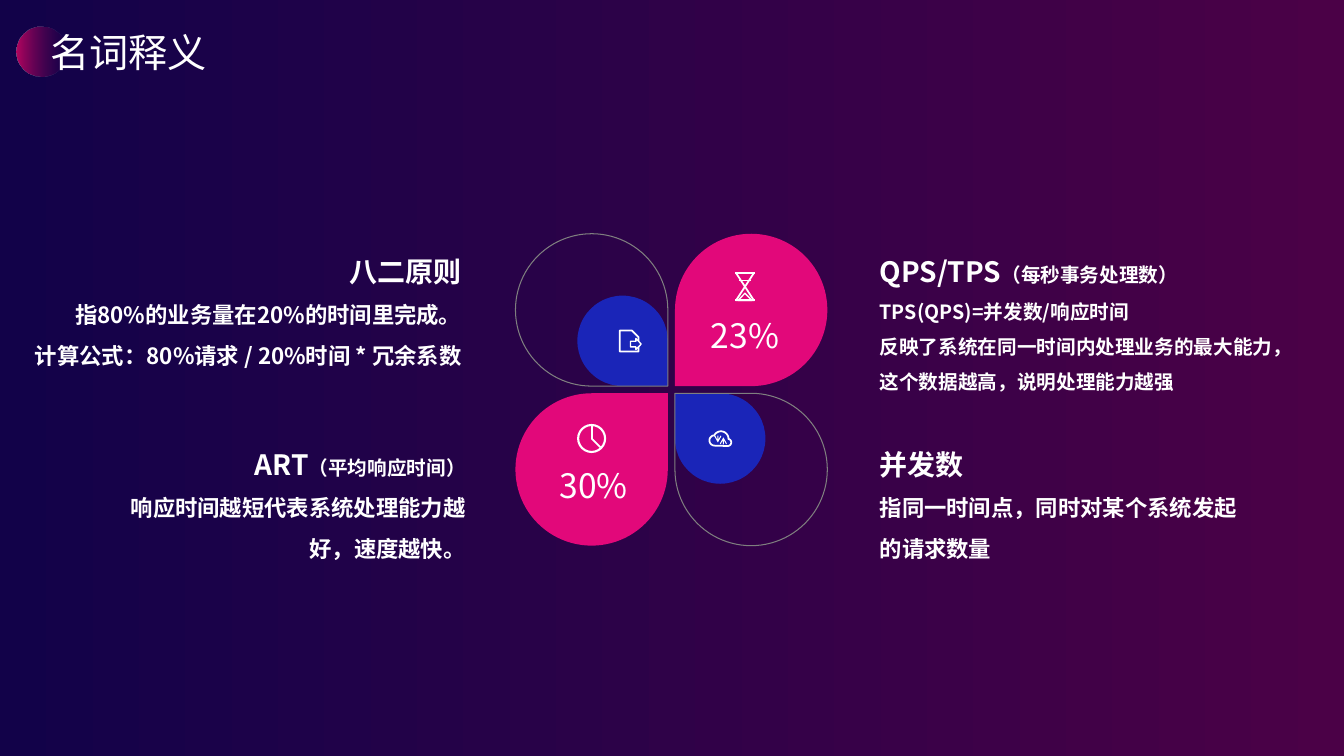
from dataclasses import dataclass
from math import cos, radians, sin

from lxml import etree
from pptx import Presentation
from pptx.dml.color import RGBColor
from pptx.enum.shapes import MSO_CONNECTOR, MSO_SHAPE
from pptx.enum.text import MSO_AUTO_SIZE, PP_ALIGN
from pptx.oxml.ns import qn
from pptx.util import Cm, Pt

LEFT, CENTER, RIGHT = PP_ALIGN.LEFT, PP_ALIGN.CENTER, PP_ALIGN.RIGHT
ELLIPSE, TEARDROP = MSO_SHAPE.OVAL, MSO_SHAPE.TEAR
HOURGLASS, TRIANGLE = MSO_SHAPE.FLOWCHART_COLLATE, MSO_SHAPE.ISOSCELES_TRIANGLE
PAGE, ARROW = MSO_SHAPE.SNIP_1_RECTANGLE, MSO_SHAPE.RIGHT_ARROW
STRAIGHT = MSO_CONNECTOR.STRAIGHT


@dataclass(frozen=True)
class Theme:
    font: str = "Noto Sans CJK SC"
    white: RGBColor = RGBColor(0xFF, 0xFF, 0xFF)
    pink: RGBColor = RGBColor(0xE2, 0x08, 0x7A)
    blue: RGBColor = RGBColor(0x1A, 0x25, 0xB8)
    grey: RGBColor = RGBColor(0x7F, 0x7F, 0x7F)
    background: tuple = (RGBColor(0x12, 0x02, 0x49), RGBColor(0x4B, 0x01, 0x47))
    badge: tuple = (RGBColor(0xB3, 0x06, 0x60), RGBColor(0x57, 0x01, 0x52))
    title: int = 28
    percent: int = 24
    heading: int = 20
    body: int = 16
    small: int = 14


THEME = Theme()
FLOWER_X, FLOWER_Y, HALF_GAP = 16.92, 9.82, 0.09
PETAL, BUD = 3.84, 2.28
# Rotation that turns the teardrop's point to the flower's centre.
ROTATIONS = {(-1, 1): 0, (-1, -1): 90, (1, -1): 180, (1, 1): 270}


def set_gradient(fill, colors):
    fill.gradient()
    fill.gradient_angle = 0
    for stop, color in zip(fill.gradient_stops, colors):
        stop.color.rgb = color


def add_shape(slide, kind, box, fill=None, line=None, weight=0.75):
    shape = slide.shapes.add_shape(kind, *map(Cm, box))
    paint(shape, fill, line, weight)
    return shape


def paint(shape, fill, line, weight):
    shape.shadow.inherit = False
    if fill is None:
        shape.fill.background()
    else:
        shape.fill.solid()
        shape.fill.fore_color.rgb = fill
    if line is None:
        shape.line.fill.background()
    else:
        shape.line.color.rgb = line
        shape.line.width = Pt(weight)


def add_line(slide, start, end, weight=1.25, arrow=False):
    line = slide.shapes.add_connector(STRAIGHT, *map(Cm, start + end))
    line.line.color.rgb = THEME.white
    line.line.width = Pt(weight)
    if arrow:
        etree.SubElement(line.line._get_or_add_ln(), qn("a:tailEnd"),
                         type="arrow", w="sm", len="sm")
    etree.SubElement(line._element.spPr, qn("a:effectLst"))


def add_text(slide, box, paragraphs, align=LEFT, spacing=None, bold=False,
             inset=(0, 0), wrap=True):
    """Each paragraph is a list of (text, size) runs."""
    frame = slide.shapes.add_textbox(*map(Cm, box)).text_frame
    frame.word_wrap = wrap
    frame.auto_size = MSO_AUTO_SIZE.NONE
    frame.margin_left = frame.margin_right = Cm(inset[0])
    frame.margin_top = frame.margin_bottom = Cm(inset[1])
    for index, runs in enumerate(paragraphs):
        paragraph = frame.add_paragraph() if index else frame.paragraphs[0]
        paragraph.alignment = align
        if spacing:
            paragraph.line_spacing = spacing
        for text, size in runs:
            run = paragraph.add_run()
            run.text = text
            run.font.name = THEME.font
            run.font.size = Pt(size)
            run.font.bold = bold
            run.font.color.rgb = THEME.white
            etree.SubElement(run._r.get_or_add_rPr(), qn("a:ea"), typeface=THEME.font)


def add_title(slide, text):
    badge = add_shape(slide, ELLIPSE, (0.41, 0.66, 1.27, 1.27))
    set_gradient(badge.fill, THEME.badge)
    clear_end = badge._element.spPr.findall(".//" + qn("a:srgbClr"))[-1]
    etree.SubElement(clear_end, qn("a:alpha"), val="0")
    add_text(slide, (1.02, 0.58, 6.68, 1.45), [[(text, THEME.title)]],
             inset=(0.25, 0.13))


def add_petal(slide, side, size, fill=None, line=None):
    """Place a petal in the quadrant given by side, its point at the centre."""
    left, top = (
        center + HALF_GAP if sign > 0 else center - HALF_GAP - size
        for center, sign in zip((FLOWER_X, FLOWER_Y), side)
    )
    petal = add_shape(slide, TEARDROP, (left, top, size, size), fill, line)
    petal.rotation = ROTATIONS[side]


def add_percent(slide, text, left, top):
    add_text(slide, (left, top, 2.29, 1.27), [[(text, THEME.percent)]],
             CENTER, inset=(0.25, 0.13), wrap=False)


def add_hourglass_icon(slide):
    for y in (6.88, 7.57):
        add_line(slide, (18.52, y), (19.03, y), 1.5)
    add_shape(slide, HOURGLASS, (18.55, 6.88, 0.45, 0.69), line=THEME.white, weight=1.25)
    add_line(slide, (18.62, 7.07), (18.93, 7.07))
    add_shape(slide, TRIANGLE, (18.6, 7.39, 0.35, 0.18), line=THEME.white, weight=1)


def add_clock_icon(slide):
    x, y, radius = 14.91, 11.05, 0.34
    add_shape(slide, ELLIPSE, (x - radius, y - radius, 2 * radius, 2 * radius),
              line=THEME.white, weight=1.5)
    add_line(slide, (x, y - radius), (x, y))
    add_line(slide, (x, y), (x + 0.23, y + 0.23))


def add_page_icon(slide):
    page = add_shape(slide, PAGE, (15.62, 8.33, 0.47, 0.53), line=THEME.white, weight=1.25)
    page.adjustments[0] = 0.35
    add_shape(slide, ARROW, (15.89, 8.53, 0.27, 0.28), THEME.blue, THEME.white, 1)


def add_cloud_icon(slide):
    lobes = [(18.01, 11.1, 0.13, 90, 260), (18.17, 11.06, 0.19, 205, 360),
             (18.34, 11.15, 0.09, 280, 450)]
    points = [
        (Cm(x + radius * cos(radians(angle))), Cm(y + radius * sin(radians(angle))))
        for x, y, radius, first, last in lobes
        for angle in range(first, last + 1, 5)
    ]
    builder = slide.shapes.build_freeform(*points[0])
    builder.add_line_segments(points[1:], close=True)
    paint(builder.convert_to_shape(), None, THEME.white, 1.25)
    add_line(slide, (18.09, 11.02), (18.09, 11.15), 0.75, arrow=True)
    add_line(slide, (18.23, 11.15), (18.23, 11.02), 0.75, arrow=True)


def add_flower(slide):
    for side in ((-1, 1), (1, -1)):
        add_petal(slide, side, PETAL, fill=THEME.pink)
    for side in ((-1, -1), (1, 1)):
        add_petal(slide, side, BUD, fill=THEME.blue)
        add_petal(slide, side, PETAL, line=THEME.grey)
    add_hourglass_icon(slide)
    add_clock_icon(slide)
    add_page_icon(slide)
    add_cloud_icon(slide)
    add_percent(slide, "30%", 13.82, 11.58)
    add_percent(slide, "23%", 17.63, 7.8)


def add_definitions(slide):
    heading, body, small = THEME.heading, THEME.body, THEME.small
    definitions = [
        ((22.17, 5.99, 10.59, 6.4), LEFT, [
            [("QPS/TPS", heading), ("（每秒事务处理数）", small)],
            [("TPS(QPS)=并发数/响应时间", small)],
            [("反映了系统在同一时间内处理业务的最大能力，这个数据越高，说明处理能力越强", small)]]),
        ((22.17, 10.85, 9.32, 3.33), LEFT, [
            [("并发数", heading)],
            [("指同一时间点，同时对某个系统发起的请求数量", body)]]),
        ((0.3, 5.99, 11.33, 5.38), RIGHT, [
            [("八二原则", heading)],
            [("指80%的业务量在20%的时间里完成。", body)],
            [("计算公式：80%请求 / 20%时间 * 冗余系数", body)]]),
        ((2.95, 10.85, 8.79, 3.33), RIGHT, [
            [("ART", heading), ("（平均响应时间）", small)],
            [("响应时间越短代表系统处理能力越好，速度越快。", body)]]),
    ]
    for box, align, paragraphs in definitions:
        add_text(slide, box, paragraphs, align, spacing=1.5, bold=True)


def main():
    presentation = Presentation()
    presentation.slide_width, presentation.slide_height = Cm(33.87), Cm(19.05)
    slide = presentation.slides.add_slide(presentation.slide_layouts[6])
    set_gradient(slide.background.fill, THEME.background)
    add_title(slide, "名词释义")
    add_flower(slide)
    add_definitions(slide)
    presentation.save("out.pptx")


if __name__ == "__main__":
    main()
